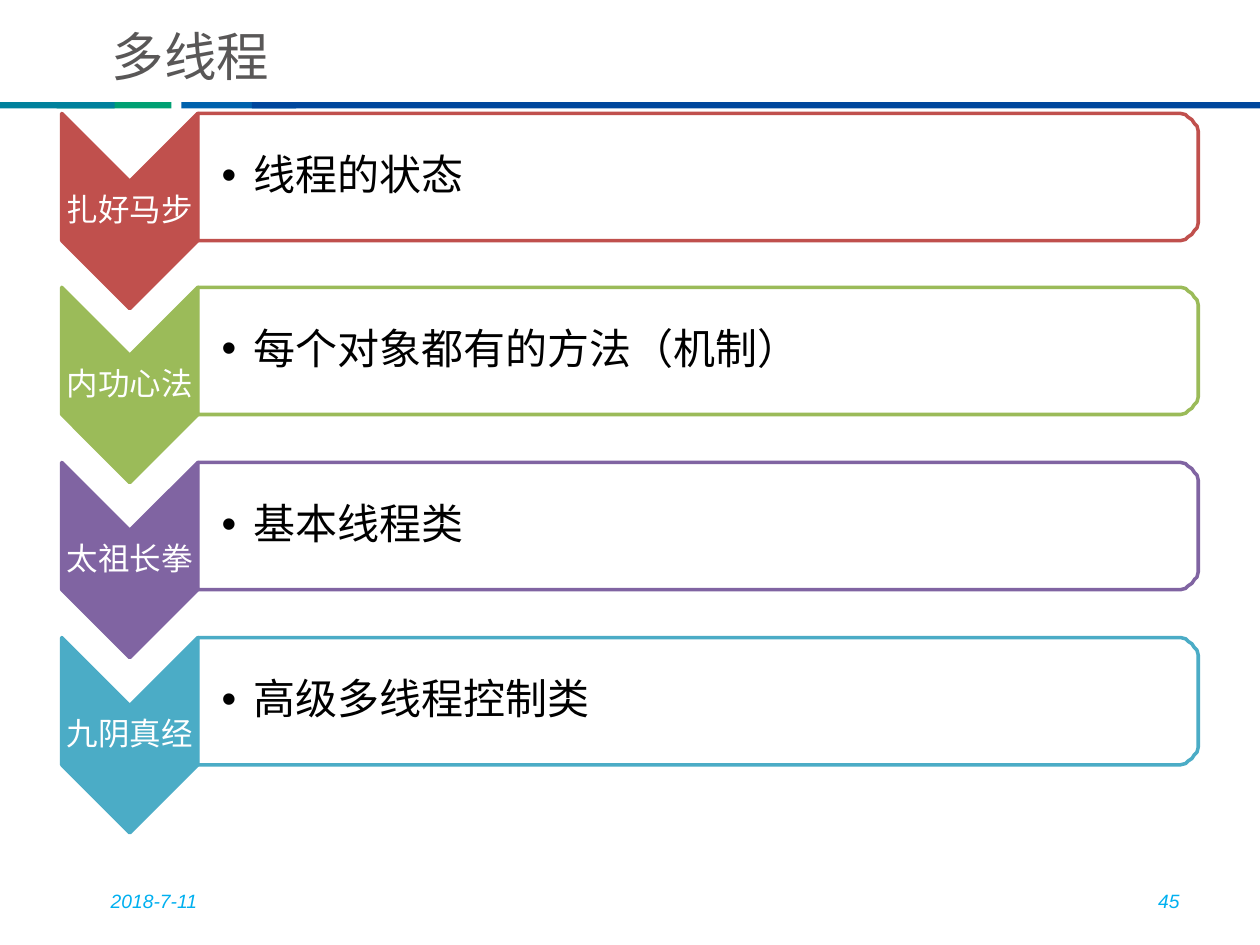
from dataclasses import dataclass
from math import cos, pi, sin

from lxml import etree
from pptx import Presentation
from pptx.dml.color import RGBColor
from pptx.enum.shapes import MSO_SHAPE
from pptx.enum.text import MSO_ANCHOR, PP_ALIGN
from pptx.oxml.ns import qn
from pptx.shapes.base import BaseShape
from pptx.slide import Slide
from pptx.util import Pt

RECT = MSO_SHAPE.RECTANGLE
MIDDLE = MSO_ANCHOR.MIDDLE
LEFT, CENTER, RIGHT = PP_ALIGN.LEFT, PP_ALIGN.CENTER, PP_ALIGN.RIGHT
PX = 9144


@dataclass(frozen=True)
class Theme:
    latin: str = "Arial"
    han: str = "Noto Sans CJK SC"
    title: str = "595757"
    note: str = "00B0F0"
    white: str = "FFFFFF"
    black: str = "000000"
    title_pt: int = 30
    body_pt: int = 24
    tag_pt: int = 18
    note_pt: int = 11
    line_pt: int = 2


@dataclass(frozen=True)
class Bar:
    left: int
    width: int
    color: str


@dataclass(frozen=True)
class Label:
    text: str
    box: tuple[int, int, int, int]
    size: int
    color: str
    font: str
    align: PP_ALIGN = LEFT
    italic: bool = False


@dataclass(frozen=True)
class Step:
    tag: str
    body: str
    color: str


THEME = Theme()
BARS = [
    Bar(45, 91, "00A073"),
    Bar(144, 91, "0062AD"),
    Bar(200, 800, "00479D"),
    Bar(0, 91, "00819C"),
]
LABELS = [
    Label("多线程", (79, 17, 705, 54), THEME.title_pt, THEME.title, THEME.han),
    Label("2018-7-11", (78, 695, 233, 40), THEME.note_pt, THEME.note,
          THEME.latin, italic=True),
    Label("45", (713, 695, 233, 40), THEME.note_pt, THEME.note,
          THEME.latin, RIGHT, True),
]
STEPS = [
    Step("扎好马步", "线程的状态", "C0504D"),
    Step("内功心法", "每个对象都有的方法（机制）", "9BBB59"),
    Step("太祖长拳", "基本线程类", "8064A2"),
    Step("九阴真经", "高级多线程控制类", "4BACC6"),
]
TOP, SPAN = 90, 416
EDGE, MID, SEAM, END = 49, 103, 157, 951
TALL, DROP, CURVE, ARC = 101, 54, 17, 8


def paint(shape: BaseShape, fill: str) -> None:
    shape.shadow.inherit = False
    shape.fill.solid()
    shape.fill.fore_color.rgb = RGBColor.from_string(fill)


def write(shape: BaseShape, text: str, size: int, color: str, font: str,
          align: PP_ALIGN, italic: bool = False) -> None:
    frame = shape.text_frame
    frame.text = text
    frame.word_wrap = True
    frame.vertical_anchor = MIDDLE
    para = frame.paragraphs[0]
    para.alignment = align
    run = para.runs[0]
    run.font.size = Pt(size)
    run.font.italic = italic
    run.font.color.rgb = RGBColor.from_string(color)
    run.font.name = font
    props = run.font._element
    etree.SubElement(props, qn("a:ea"), typeface=font)


def space(shape: BaseShape, insets: tuple[int, ...], after: int) -> None:
    frame = shape.text_frame
    frame.margin_left, frame.margin_top, frame.margin_right, \
        frame.margin_bottom = (n * PX for n in insets)
    para = frame.paragraphs[0]
    para.line_spacing = 0.9
    para.space_after = Pt(after)


def bullet(shape: BaseShape, indent: int) -> None:
    props = shape.text_frame.paragraphs[0]._p.get_or_add_pPr()
    props.set("marL", str(indent * PX))
    props.set("indent", str(-indent * PX))
    etree.SubElement(props, qn("a:buFont"), typeface=THEME.latin)
    etree.SubElement(props, qn("a:buChar"), char="•")


def outline(slide: Slide, points: list[tuple[float, float]], fill: str,
            line: str) -> BaseShape:
    pen = slide.shapes.build_freeform(*points[0], scale=PX)
    pen.add_line_segments(points[1:])
    shape = pen.convert_to_shape()
    paint(shape, fill)
    shape.line.color.rgb = RGBColor.from_string(line)
    shape.line.width = Pt(THEME.line_pt)
    return shape


def draw_bar(slide: Slide, bar: Bar) -> None:
    shape = slide.shapes.add_shape(
        RECT, bar.left * PX, 81 * PX, bar.width * PX, 5 * PX)
    paint(shape, bar.color)
    shape.line.fill.background()


def draw_label(slide: Slide, label: Label) -> None:
    shape = slide.shapes.add_textbox(*(n * PX for n in label.box))
    write(shape, label.text, label.size, label.color, label.font,
          label.align, label.italic)


def draw_step(slide: Slide, step: Step, top: int) -> None:
    low = top + TALL
    arrow = [(SEAM, top), (SEAM, low), (MID, low + DROP), (EDGE, low),
             (EDGE, top), (MID, top + DROP)]
    tag = outline(slide, arrow, step.color, step.color)
    write(tag, step.tag, THEME.tag_pt, THEME.white, THEME.han, CENTER)
    space(tag, (2, 56, 2, 56), 6)

    turns = [pi / 2 * n / ARC for n in range(ARC + 1)]
    x = END - CURVE
    upper = [(x + CURVE * sin(t), top + CURVE * (1 - cos(t))) for t in turns]
    lower = [(x + CURVE * cos(t), low - CURVE * (1 - sin(t))) for t in turns]
    panel = [(SEAM, top), *upper, *lower, (SEAM, low)]
    body = outline(slide, panel, THEME.white, step.color)
    tint = body._element.spPr.find(qn("a:solidFill"))[0]
    etree.SubElement(tint, qn("a:alpha"), val="90000")
    write(body, step.body, THEME.body_pt, THEME.black, THEME.han, LEFT)
    space(body, (19, 7, 7, 7), 4)
    bullet(body, 25)


def main() -> None:
    deck = Presentation()
    deck.slide_width, deck.slide_height = 1000 * PX, 750 * PX
    slide = deck.slides.add_slide(deck.slide_layouts[6])
    for bar in BARS:
        draw_bar(slide, bar)
    for label in LABELS:
        draw_label(slide, label)
    for i, step in enumerate(STEPS):
        draw_step(slide, step, TOP + SPAN * i // (len(STEPS) - 1))
    deck.save("out.pptx")


if __name__ == "__main__":
    main()
